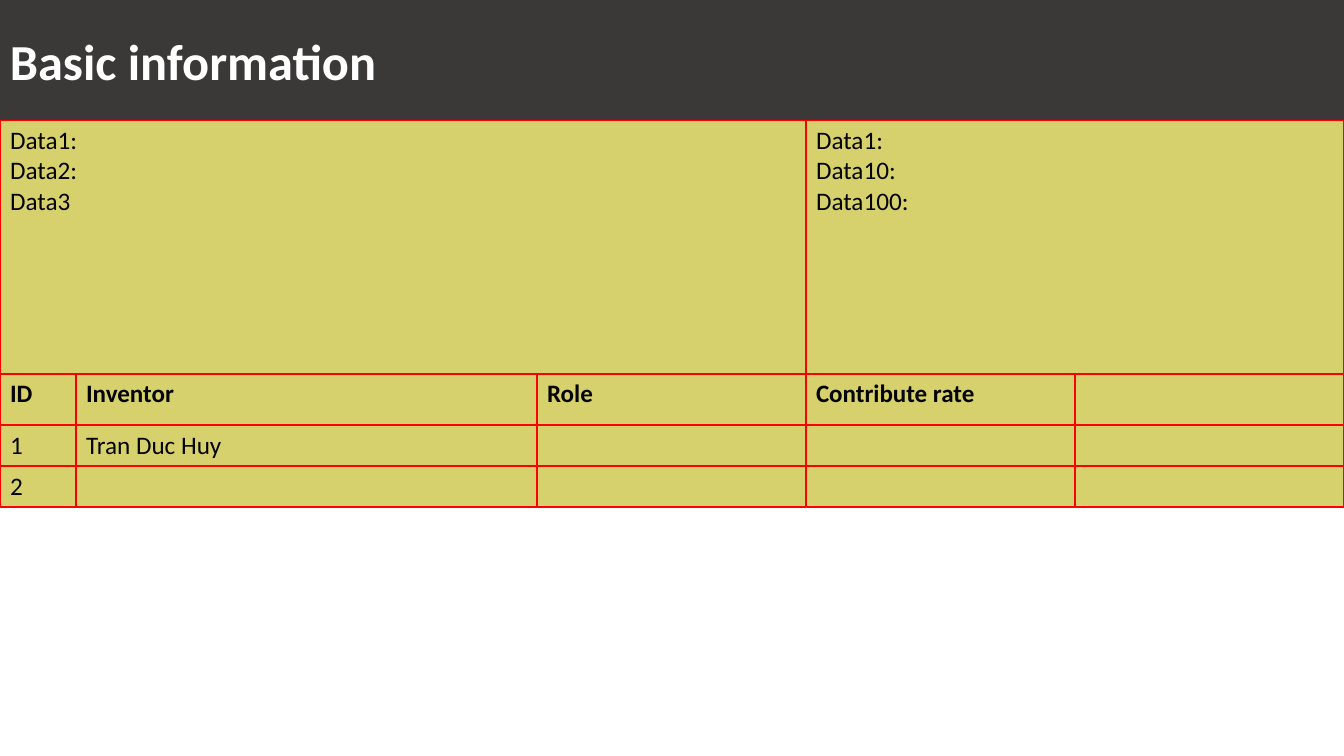
from pptx import Presentation
from pptx.dml.color import RGBColor as RGB
from pptx.enum.shapes import MSO_SHAPE as SHAPE
from pptx.enum.text import MSO_ANCHOR as ANCHOR, PP_ALIGN as ALIGN
from pptx.oxml import parse_xml
from pptx.oxml.ns import nsdecls
from pptx.util import Emu, Pt

# Content
TITLE = "Basic information"
ROWS = [
    ["Data1:\nData2:\nData3", "", "", "Data1:\nData10:\nData100:", ""],
    ["ID", "Inventor", "Role", "Contribute rate", ""],
    ["1", "Tran Duc Huy", "", "", ""],
    ["2", "", "", "", ""],
]
MERGES = [((0, 0), (0, 2)), ((0, 3), (0, 4))]
HEADER_ROW = 1

# Lengths in px
SLIDE_W, SLIDE_H = 1344, 756
TITLE_H = 120
COL_W = [76, 461, 269, 269, 269]
ROW_H = [254, 51, 41, 41]

THEME = {
    "font": "Calibri",
    "bar": RGB.from_string("3B3838"),
    "cell": RGB.from_string("D6D16C"),
    "border": "FF0000",
    "title": {"size": Pt(36), "bold": True, "color": RGB.from_string("FFFFFF")},
    "body": {"size": Pt(18), "bold": False, "color": RGB.from_string("040404")},
    "header": {"size": Pt(17.9), "bold": True, "color": RGB.from_string("040404")},
}


def px(n):
    return Emu(round(n * 914400 / 100.8))


def write(tf, text, style):
    tf.text = text
    for p in tf.paragraphs:
        p.alignment = ALIGN.LEFT
        for font in [p.font] + [r.font for r in p.runs]:
            font.name = THEME["font"]
            font.color.rgb = style["color"]
            for name in ("size", "bold"):
                setattr(font, name, style[name])


def add_borders(cell):
    tc_pr = cell._tc.get_or_add_tcPr()
    for side in "LRTB":
        tc_pr.append(parse_xml(
            f'<a:ln{side} {nsdecls("a")} w="{Pt(1)}"><a:solidFill>'
            f'<a:srgbClr val="{THEME["border"]}"/></a:solidFill></a:ln{side}>'))


prs = Presentation()
prs.slide_width, prs.slide_height = px(SLIDE_W), px(SLIDE_H)
s = prs.slides.add_slide(prs.slide_layouts[6])

# Inventor table
table = s.shapes.add_table(len(ROWS), len(COL_W), 0, px(TITLE_H),
                           px(sum(COL_W)), px(sum(ROW_H))).table
table.first_row = table.horz_banding = False
for col, w in zip(table.columns, COL_W):
    col.width = px(w)
for row, h in zip(table.rows, ROW_H):
    row.height = px(h)
for i, texts in enumerate(ROWS):
    style = THEME["header" if i == HEADER_ROW else "body"]
    for j, text in enumerate(texts):
        cell = table.cell(i, j)
        write(cell.text_frame, text, style)
        add_borders(cell)
        cell.fill.solid()
        cell.fill.fore_color.rgb = THEME["cell"]
for first, last in MERGES:
    table.cell(*first).merge(table.cell(*last))

# Title bar
sp = s.shapes.add_shape(SHAPE.RECTANGLE, 0, 0, px(SLIDE_W), px(TITLE_H))
sp.shadow.inherit = False
sp.fill.solid()
sp.fill.fore_color.rgb = THEME["bar"]
sp.line.fill.background()
tf = sp.text_frame
tf.word_wrap = True
tf.vertical_anchor = ANCHOR.MIDDLE
write(tf, TITLE, THEME["title"])

prs.save("out.pptx")
